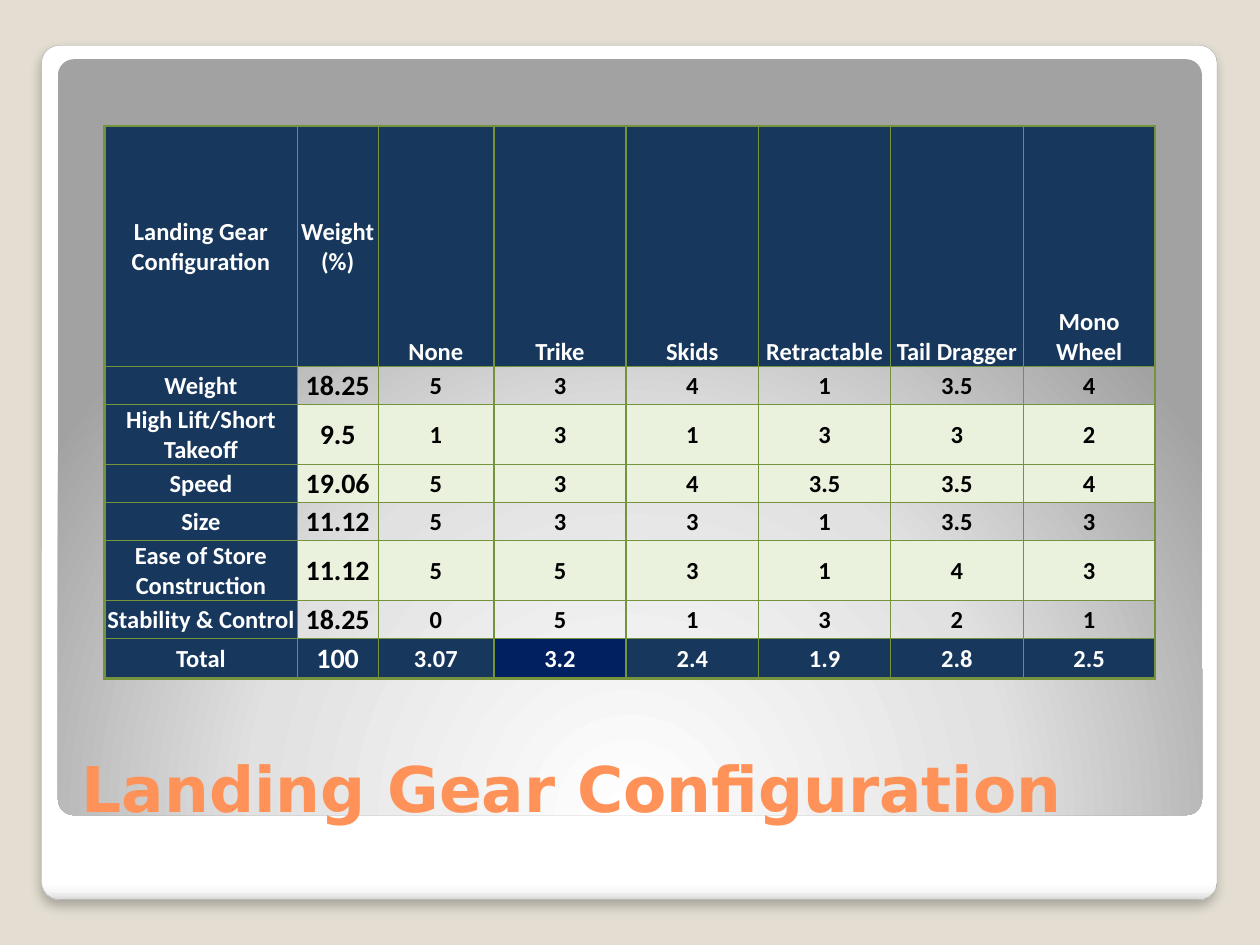
"""Build the landing gear configuration decision matrix slide."""
from dataclasses import dataclass

import lxml.etree
import pptx
import pptx.dml.color
import pptx.enum.shapes
import pptx.enum.text
import pptx.oxml
import pptx.oxml.ns
import pptx.util

Inches = pptx.util.Inches
Pt = pptx.util.Pt
ANCHOR = pptx.enum.text.MSO_ANCHOR
ALIGN = pptx.enum.text.PP_ALIGN
qn = pptx.oxml.ns.qn

COLORS = {
    "background": "E3DED1", "title": "FF9258", "white": "FFFFFF", "black": "000000",
    "outline": "A4A4A4", "grid": "75923C", "navy": "17375D", "best": "002060", "band": "EAF1DD",
}
THIN, THICK = 0.5, 1.5


@dataclass
class Panel:
    left: float
    top: float
    width: float
    height: float
    stops: list[tuple[int, str]]
    direction: str
    line: str | None = None
    shadow: bool = False


@dataclass
class Row:
    label: str
    values: list[str]
    height: float
    fill: str | None = None


PANELS = [
    Panel(0.33, 0.36, 9.33, 6.78,
          [(0, "FFFFFF"), (98, "FFFFFF"), (99, "F7F7F7"), (100, "DADADA")],
          '<a:lin ang="5400000" scaled="0"/>', "outline", True),
    Panel(0.46, 0.47, 9.08, 6, [(0, "FFFFFF"), (55, "E1E1E1"), (100, "A2A2A2")],
          '<a:path path="circle"><a:fillToRect l="50000" t="175000" r="50000" b="-75000"/></a:path>'),
]
COLUMNS = [1.53, 0.64, 0.92] + [1.05] * 5
ROWS = [
    Row("Landing Gear Configuration",
        ["Weight\n(%)", "None", "Trike", "Skids", "Retractable", "Tail Dragger", "Mono Wheel"],
        1.91, "navy"),
    Row("Weight", ["18.25", "5", "3", "4", "1", "3.5", "4"], 0.3),
    Row("High Lift/Short Takeoff", ["9.5", "1", "3", "1", "3", "3", "2"], 0.42, "band"),
    Row("Speed", ["19.06", "5", "3", "4", "3.5", "3.5", "4"], 0.3, "band"),
    Row("Size", ["11.12", "5", "3", "3", "1", "3.5", "3"], 0.3),
    Row("Ease of Store Construction", ["11.12", "5", "5", "3", "1", "4", "3"], 0.42, "band"),
    Row("Stability & Control", ["18.25", "0", "5", "1", "3", "2", "1"], 0.3),
    Row("Total", ["100", "3.07", "3.2", "2.4", "1.9", "2.8", "2.5"], 0.32, "navy"),
]
THICK_EDGES = {0, 3, 4, len(COLUMNS)}
TRIKE = 3


def rgb(name: str) -> pptx.dml.color.RGBColor:
    return pptx.dml.color.RGBColor.from_string(COLORS[name])


def write(tf, text: str, *, size: float, color: str, font: str = "Calibri",
          align=ALIGN.CENTER, anchor=ANCHOR.MIDDLE) -> None:
    tf.word_wrap = True
    tf.vertical_anchor = anchor
    p = tf.paragraphs[0]
    p.text = text
    p.alignment = align
    for r in p.runs:
        r.font.name, r.font.size, r.font.bold = font, Pt(size), True
        r.font.color.rgb = rgb(color)


def add_panel(s, panel: Panel) -> None:
    sp = s.shapes.add_shape(
        pptx.enum.shapes.MSO_SHAPE.ROUNDED_RECTANGLE,
        *map(Inches, (panel.left, panel.top, panel.width, panel.height)))
    sp.adjustments[0] = 0.021
    sp.shadow.inherit = False
    sp.fill.background()
    props = sp.fill._xPr
    stops = "".join(f'<a:gs pos="{pos * 1000}"><a:srgbClr val="{color}"/></a:gs>'
                    for pos, color in panel.stops)
    props.replace(props.find(qn("a:noFill")), pptx.oxml.parse_xml(
        f'<a:gradFill {pptx.oxml.ns.nsdecls("a")} rotWithShape="1">'
        f'<a:gsLst>{stops}</a:gsLst>{panel.direction}</a:gradFill>'))
    if panel.line:
        sp.line.color.rgb = rgb(panel.line)
        sp.line.width = Pt(0.16)
    else:
        sp.line.fill.background()
    if panel.shadow:
        props.find(qn("a:effectLst")).append(pptx.oxml.parse_xml(
            f'<a:outerShdw {pptx.oxml.ns.nsdecls("a")} blurRad="{Pt(6)}" dist="{Pt(4)}" '
            f'dir="5400000" algn="t" rotWithShape="0"><a:srgbClr val="{COLORS["black"]}">'
            '<a:alpha val="25000"/></a:srgbClr></a:outerShdw>'))


def add_borders(cell, widths: dict[str, float]) -> None:
    props = cell._tc.get_or_add_tcPr()
    for side, width in widths.items():
        ln = lxml.etree.SubElement(props, qn(f"a:ln{side}"), w=str(Pt(width)))
        fill = lxml.etree.SubElement(ln, qn("a:solidFill"))
        lxml.etree.SubElement(fill, qn("a:srgbClr"), val=COLORS["grid"])


def edge(index: int, thick: set[int]) -> float:
    return THICK if index in thick else THIN


def format_cell(cell, text: str, i: int, j: int) -> None:
    row, last = ROWS[i], len(ROWS) - 1
    cell.margin_left = cell.margin_right = cell.margin_top = Inches(0.01)
    cell.margin_bottom = 0
    add_borders(cell, {"L": edge(j, THICK_EDGES), "R": edge(j + 1, THICK_EDGES),
                       "T": edge(i, {0}), "B": edge(i + 1, {last + 1})})
    fill = "navy" if j == 0 else "best" if (i, j) == (last, TRIKE) else row.fill
    if fill:
        cell.fill.solid()
        cell.fill.fore_color.rgb = rgb(fill)
    else:
        cell.fill.background()
    write(cell.text_frame, text, size=16 if j == 1 and i > 0 else 14,
          color="white" if fill in ("navy", "best") else "black")
    cell.vertical_anchor = ANCHOR.BOTTOM if i == 0 and j > 1 else ANCHOR.MIDDLE


def add_matrix(s) -> None:
    frame = s.shapes.add_table(len(ROWS), len(COLUMNS), Inches(0.83), Inches(1),
                               Inches(8.33), Inches(4.39))
    table = frame.table
    table.first_row = table.horz_banding = False
    for column, width in zip(table.columns, COLUMNS):
        column.width = Inches(width)
    for i, row in enumerate(ROWS):
        table.rows[i].height = Inches(row.height)
        for j, text in enumerate([row.label, *row.values]):
            format_cell(table.cell(i, j), text, i, j)


def main() -> None:
    prs = pptx.Presentation()
    prs.slide_width, prs.slide_height = Inches(10), Inches(7.5)
    s = prs.slides.add_slide(prs.slide_layouts[6])
    s.background.fill.solid()
    s.background.fill.fore_color.rgb = rgb("background")
    for panel in PANELS:
        add_panel(s, panel)
    title = s.shapes.add_textbox(Inches(0.55), Inches(5.45), Inches(8.95), Inches(1.15))
    write(title.text_frame, "Landing Gear Configuration", size=36, color="title",
          font="DejaVu Sans", align=ALIGN.LEFT, anchor=ANCHOR.BOTTOM)
    add_matrix(s)
    prs.save("out.pptx")


if __name__ == "__main__":
    main()
